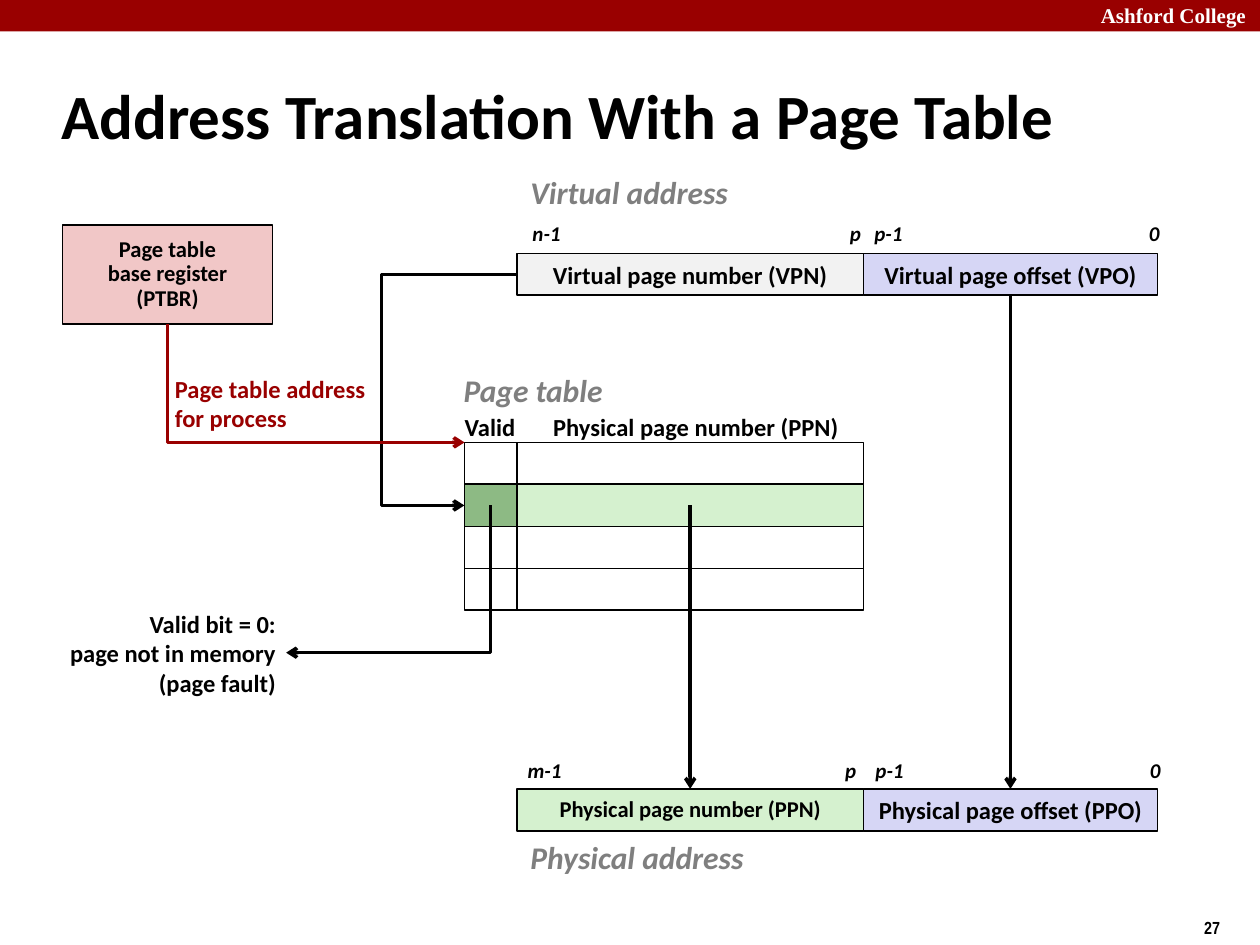
import pptx
import pptx.dml.color
import pptx.enum.shapes
import pptx.enum.text
import pptx.oxml
import pptx.oxml.ns
import pptx.util

Pt = pptx.util.Pt
RECTANGLE = pptx.enum.shapes.MSO_SHAPE.RECTANGLE
CONNECTOR = pptx.enum.shapes.MSO_CONNECTOR
ALIGN = pptx.enum.text.PP_ALIGN
ANCHOR = pptx.enum.text.MSO_ANCHOR
COLORS = {
    "black": "000000", "white": "FFFFFF", "red": "990000", "gray": "7F7F7F",
    "light gray": "F2F2F2", "lavender": "D6D6F5", "light green": "D5F1CF",
    "green": "8DBA84", "pink": "F1C7C7",
}
RGB = {name: pptx.dml.color.RGBColor.from_string(value) for name, value in COLORS.items()}


def write(box, text, size=14, color="black", font="Calibri", italic=False,
          align=ALIGN.LEFT, anchor=ANCHOR.TOP, spacing=None, wrap=False):
    frame = box.text_frame
    frame.text = text
    frame.word_wrap = wrap
    frame.auto_size = pptx.enum.text.MSO_AUTO_SIZE.NONE
    frame.vertical_anchor = anchor
    for para in frame.paragraphs:
        para.alignment = align
        para.line_spacing = spacing
        for span in para.runs:
            span.font.name = font
            span.font.size = Pt(size)
            span.font.bold = True
            span.font.italic = italic
            span.font.color.rgb = RGB[color]


def add_arrow(kind, start, end, color="black"):
    arrow = page.shapes.add_connector(kind, *map(Pt, (*start, *end)))
    arrow.line.color.rgb = RGB[color]
    arrow.line.width = Pt(2)
    head = pptx.oxml.parse_xml(f'<a:tailEnd {pptx.oxml.ns.nsdecls("a")} type="arrow"/>')
    arrow.line._get_or_add_ln().append(head)
    properties = arrow._element.spPr
    properties.append(pptx.oxml.parse_xml(f'<a:effectLst {pptx.oxml.ns.nsdecls("a")}/>'))
    return properties


deck = pptx.Presentation()
deck.slide_width, deck.slide_height = Pt(720), Pt(540)
page = deck.slides.add_slide(deck.slide_layouts[5])

banner = page.shapes.add_shape(RECTANGLE, 0, 0, Pt(720), Pt(18))
banner.shadow.inherit = False
banner.fill.solid()
banner.fill.fore_color.rgb = RGB["red"]
banner.line.fill.background()

title = page.shapes.title
title.left, title.top, title.width, title.height = map(Pt, (28, 35.4, 598, 60))
write(title, "Address Translation With a Page Table", size=36, anchor=ANCHOR.MIDDLE, wrap=True)

valid_left, number_left, offset_left, right = 265.4, 295.4, 493.4, 661.4
virtual_top, table_top, physical_top, row_height = 144.8, 252.8, 450.8, 24
valid_width = number_left - valid_left
number_width = offset_left - number_left
offset_width = right - offset_left

cells = [
    (number_left, virtual_top, number_width, row_height, "light gray", "Virtual page number (VPN)", 14),
    (offset_left, virtual_top, offset_width, row_height, "lavender", "Virtual page offset (VPO)", 14),
    (number_left, physical_top, number_width, row_height, "light green", "Physical page number (PPN)", 12.9),
    (offset_left, physical_top, offset_width, row_height, "lavender", "Physical page offset (PPO)", 14),
    (35.7, 128.6, 120, 56.6, "pink", "Page table\nbase register\n(PTBR)", 12.9),
]
for row in range(4):
    top = table_top + row * row_height
    cells.append((number_left, top, number_width, row_height, "light green" if row == 1 else None, "", 14))
    cells.append((valid_left, top, valid_width, row_height, "green" if row == 1 else None, "", 14))

for left, top, width, height, fill, text, size in cells:
    cell = page.shapes.add_shape(RECTANGLE, *map(Pt, (left, top, width, height)))
    cell.shadow.inherit = False
    cell.line.color.rgb = RGB["black"]
    cell.line.width = Pt(1)
    if fill:
        cell.fill.solid()
        cell.fill.fore_color.rgb = RGB[fill]
    else:
        cell.fill.background()
    if text:
        write(cell, text, size=size, align=ALIGN.CENTER, anchor=ANCHOR.MIDDLE,
              spacing=0.9 if size < 14 else None, wrap=True)

entry_middle = table_top + 1.5 * row_height
number_middle = number_left + number_width / 2
offset_middle = offset_left + offset_width / 2
add_arrow(CONNECTOR.STRAIGHT, (offset_middle, virtual_top + row_height), (offset_middle, physical_top))
add_arrow(CONNECTOR.STRAIGHT, (number_middle, entry_middle), (number_middle, physical_top))

index_arrow = add_arrow(CONNECTOR.ELBOW, (number_left, virtual_top + row_height / 2), (valid_left, entry_middle))
guides = index_arrow.prstGeom.get_or_add_avLst()
guides.append(pptx.oxml.parse_xml(
    f'<a:gd {pptx.oxml.ns.nsdecls("a")} name="adj1" fmla="val 258000"/>'))

for start, end, color in [
    ((valid_left + valid_width / 2, entry_middle), (163.5, 373), "black"),
    ((95.7, 185.2), (valid_left, table_top), "red"),
]:
    center_x, center_y = (start[0] + end[0]) / 2, (start[1] + end[1]) / 2
    turn = 1 if end[0] < start[0] else -1
    half_width = turn * (end[1] - start[1]) / 2
    half_height = abs(end[0] - start[0]) / 2
    corner = add_arrow(CONNECTOR.ELBOW, (center_x - half_width, center_y - half_height),
                       (center_x + half_width, center_y + half_height), color)
    corner.prstGeom.set("prst", "bentConnector2")
    corner.xfrm.set("rot", str(turn * 90 % 360 * 60000))

heading = {"size": 18, "color": "gray", "italic": True}
bit = {"size": 12, "italic": True}
labels = [
    (622, -2, 103, 22, "Ashford College", {"size": 12, "font": "Times New Roman", "color": "white"}),
    (681, 520.6, 54, 19, "27", {"size": 10, "font": "Arial Narrow"}),
    (296, 95.2, 127.5, 29, "Virtual address", heading),
    (296, 475.4, 137, 29, "Physical address", heading),
    (257.8, 208.2, 102, 29, "Page table", heading),
    (258.5, 232, 44, 24.4, "Valid", {}),
    (309, 232, 178, 24.4, "Physical page number (PPN)", {}),
    (92.9, 210.2, 126.7, 41, "Page table address\nfor process", {"color": "red"}),
    (33, 344.4, 131.8, 57.6, "Valid bit = 0:\npage not in memory\n(page fault)", {"align": ALIGN.RIGHT}),
]
for top, bits in [
    (122.6, [(297.2, 30, "n-1"), (478.6, 21, "p"), (492.6, 30, "p-1"), (649.4, 20, "0")]),
    (429.2, [(294.4, 34, "m-1"), (475.8, 21, "p"), (493.2, 30, "p-1"), (650, 20, "0")]),
]:
    labels += [(left, top, width, 21.6, text, bit) for left, width, text in bits]

for left, top, width, height, text, style in labels:
    label = page.shapes.add_textbox(*map(Pt, (left, top, width, height)))
    write(label, text, **style)

deck.save("out.pptx")
